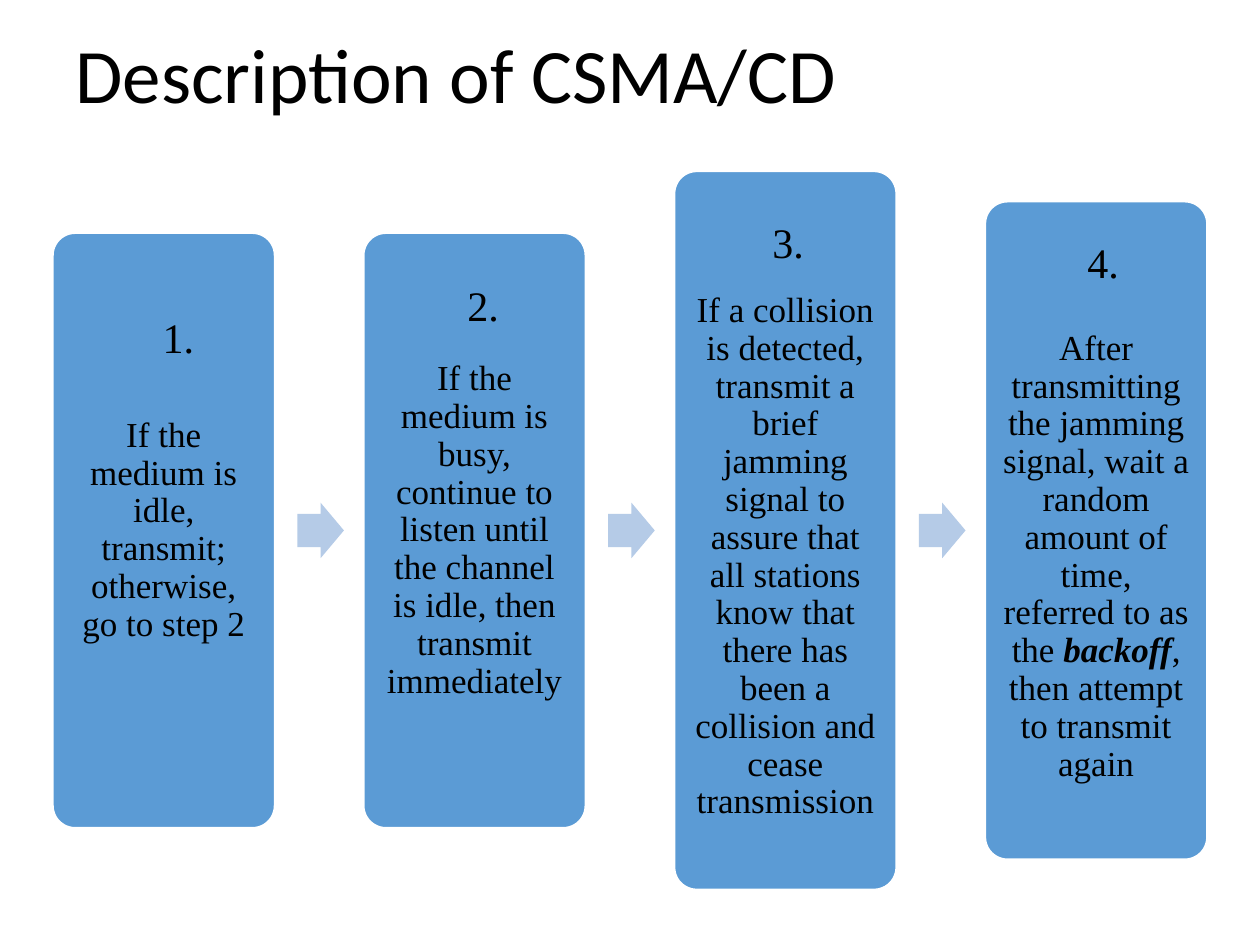
from pptx import Presentation
from pptx.dml.color import RGBColor
from pptx.enum.shapes import MSO_SHAPE
from pptx.enum.text import MSO_ANCHOR, MSO_AUTO_SIZE, PP_ALIGN
from pptx.util import Emu, Pt

EMU_PER_PX = 9144  # 100 px to the inch
BLACK = RGBColor(0x00, 0x00, 0x00)
WHITE = RGBColor(0xFF, 0xFF, 0xFF)
BLUE = RGBColor(0x5B, 0x9B, 0xD5)
PALE_BLUE = RGBColor(0xB5, 0xCB, 0xE7)

CARD_LEFT, CARD_WIDTH, CARD_PITCH = 42, 176, 246.67
ARROW_OFFSET, ARROW_WIDTH, ARROW_HEIGHT = 194, 37, 44
MIDDLE = 421
INSET = 8

# Card height, extra space above the text, number box (left, top, width), spans (text, emphasis)
STEPS = [
    (472, 0, (100, 242, 83),
     [("If the medium is idle, transmit; otherwise, go to step 2", False)]),
    (472, 0, (350, 217, 67),
     [("If the medium is busy, continue to listen until the channel is idle, "
       "then transmit immediately", False)]),
    (570, 42, (592, 167, 67),
     [("If a collision is detected, transmit a brief jamming signal to assure that all "
       "stations know that there has been a collision and cease transmission", False)]),
    (522, 42, (842, 183, 67),
     [("After transmitting the jamming signal, wait a random amount of time, "
       "referred to as the ", False),
      ("backoff", True),
      (", then attempt to transmit again", False)]),
]


def px(length):
    return Emu(round(length * EMU_PER_PX))


def write(frame, spans, size, font="Times New Roman", align=PP_ALIGN.CENTER,
          spacing=1.0, anchor=MSO_ANCHOR.MIDDLE):
    """Fill the frame with one paragraph made of (text, emphasis) spans."""
    frame.word_wrap = True
    frame.auto_size = MSO_AUTO_SIZE.NONE
    frame.vertical_anchor = anchor
    para = frame.paragraphs[0]
    para.alignment = align
    para.line_spacing = spacing
    for text, emphasis in spans:
        span = para.add_run()
        span.text = text
        span.font.name = font
        span.font.size = Pt(size)
        span.font.color.rgb = BLACK
        if emphasis:
            span.font.bold = span.font.italic = True


class StepPage:
    def __init__(self, deck):
        self.page = deck.slides.add_slide(deck.slide_layouts[5])

    def title(self, text, left, top, width, height):
        box = self.page.shapes.title
        box.left, box.top, box.width, box.height = map(px, (left, top, width, height))
        write(box.text_frame, [(text, False)], size=44, font="Calibri",
              align=PP_ALIGN.LEFT, spacing=0.9)

    def shape(self, kind, left, width, height, fill, adjustments):
        """Add a filled shape centred on the row's middle line."""
        shape = self.page.shapes.add_shape(
            kind, px(left), px(MIDDLE - height / 2), px(width), px(height))
        shape.shadow.inherit = False
        shape.fill.solid()
        shape.fill.fore_color.rgb = fill
        shape.line.fill.background()
        for index, value in enumerate(adjustments):
            shape.adjustments[index] = value
        return shape

    def card(self, left, height, space_above, spans):
        card = self.shape(MSO_SHAPE.ROUNDED_RECTANGLE, left, CARD_WIDTH, height, BLUE, [0.1])
        card.line.color.rgb = WHITE
        card.line.width = Pt(1)
        frame = card.text_frame
        frame.margin_left = frame.margin_right = frame.margin_bottom = px(INSET)
        frame.margin_top = px(INSET + space_above)
        write(frame, spans, size=20, spacing=0.9)

    def arrow(self, left):
        self.shape(MSO_SHAPE.RIGHT_ARROW, left, ARROW_WIDTH, ARROW_HEIGHT,
                   PALE_BLUE, [0.6, 0.5])

    def number(self, number, left, top, width):
        box = self.page.shapes.add_textbox(px(left), px(top), px(width), px(50))
        write(box.text_frame, [(f"{number}.", False)], size=24, anchor=MSO_ANCHOR.TOP)


def main():
    deck = Presentation()
    deck.slide_width, deck.slide_height = px(1000), px(750)
    page = StepPage(deck)
    page.title("Description of CSMA/CD", 50, 0, 900, 125)
    for index, (height, space_above, number_place, spans) in enumerate(STEPS):
        left = CARD_LEFT + index * CARD_PITCH
        page.card(left, height, space_above, spans)
        page.number(index + 1, *number_place)
        if index < len(STEPS) - 1:
            page.arrow(left + ARROW_OFFSET)
    deck.save("out.pptx")


if __name__ == "__main__":
    main()
